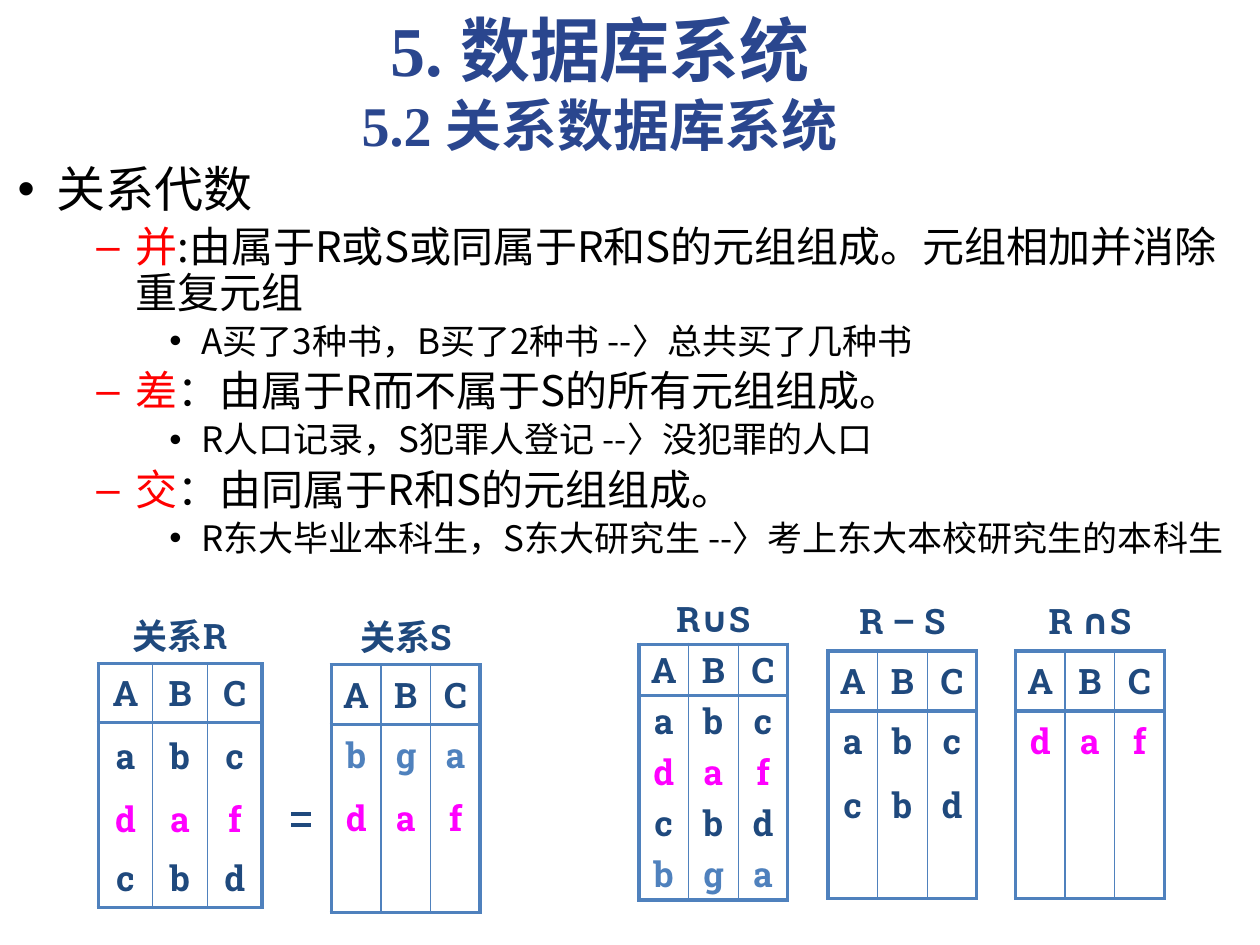
from lxml import etree
from pptx import Presentation
from pptx import util as u
from pptx.dml.color import RGBColor
from pptx.enum import shapes, text
from pptx.oxml.ns import qn

BLACK = RGBColor(0, 0, 0)
RED = RGBColor(0xFF, 0, 0)
TITLE_BLUE = RGBColor(0x2A, 0x46, 0x8E)
NAVY = RGBColor(0x1F, 0x49, 0x7D)
BLUE = RGBColor(0x4F, 0x81, 0xBD)
MAGENTA = RGBColor(0xFF, 0, 0xFF)

CJK_FONT = "Noto Sans CJK SC"
THICK, THIN = u.Pt(2.25), u.Pt(0.75)

# Each tuple of a relation is a string with one letter per attribute
R = ["abc", "daf", "cbd"]
S = ["bga", "daf"]
UNION = R + [row for row in S if row not in R]
DIFFERENCE = [row for row in R if row not in S]
INTERSECTION = [row for row in R if row in S]

# Level, highlighted term, remaining words
OUTLINE = [
    (0, "", "关系代数"),
    (1, "并", ":由属于R或S或同属于R和S的元组组成。元组相加并消除重复元组"),
    (2, "", "A买了3种书，B买了2种书 --〉总共买了几种书"),
    (1, "差", "：由属于R而不属于S的所有元组组成。"),
    (2, "", "R人口记录，S犯罪人登记 --〉没犯罪的人口"),
    (1, "交", "：由同属于R和S的元组组成。"),
    (2, "", "R东大毕业本科生，S东大研究生 --〉考上东大本校研究生的本科生"),
]
# Size in points, left margin and hanging indent in cm
LEVELS = [(28, 0.79, -0.79), (24, 2.38, -0.79), (20, 3.7, -0.64)]


def place(shape, left, top, width, height):
    shape.left, shape.top = u.Cm(left), u.Cm(top)
    shape.width, shape.height = u.Cm(width), u.Cm(height)


def set_font(font, name, color, size=None, bold=None):
    font.name, font.bold = name, bold
    font.color.rgb = color
    if size:
        font.size = u.Pt(size)


def add_heading(slide, box):
    heading = slide.shapes.title
    place(heading, *box)
    frame = heading.text_frame
    frame.vertical_anchor = text.MSO_ANCHOR.MIDDLE
    frame.auto_size = text.MSO_AUTO_SIZE.NONE
    lines = frame.paragraphs[0]
    lines.alignment = text.PP_ALIGN.CENTER
    set_font(lines.font, "Times New Roman", TITLE_BLUE, bold=True)
    chapter = lines.add_run()
    chapter.text, chapter.font.size = "5. 数据库系统", u.Pt(40)
    lines.add_line_break()
    section = lines.add_run()
    section.text, section.font.size = "5.2 关系数据库系统", u.Pt(32)


def add_outline(slide, box):
    outline = slide.placeholders[1]
    place(outline, *box)
    frame = outline.text_frame
    frame.auto_size = text.MSO_AUTO_SIZE.NONE
    for index, (level, term, words) in enumerate(OUTLINE):
        item = frame.add_paragraph() if index else frame.paragraphs[0]
        size, margin, indent = LEVELS[level]
        item.level, item.line_spacing = level, 0.9
        properties = item._p.get_or_add_pPr()
        properties.set("marL", str(u.Cm(margin)))
        properties.set("indent", str(u.Cm(indent)))
        set_font(item.font, CJK_FONT, BLACK, size)
        if term:
            keyword = item.add_run()
            keyword.text, keyword.font.color.rgb = term, RED
        item.add_run().text = words


def set_borders(cell, **widths):
    """Draw the sides lnL, lnR, lnT and lnB; a width of 0 hides the side."""
    properties = cell._tc.get_or_add_tcPr()
    for position, (side, width) in enumerate(widths.items()):
        line = etree.Element(qn(f"a:{side}"), w=str(width))
        properties.insert(position, line)
        if width:
            fill = etree.SubElement(line, qn("a:solidFill"))
            etree.SubElement(fill, qn("a:srgbClr"), val=str(BLUE))
        else:
            etree.SubElement(line, qn("a:noFill"))


def tuple_color(row):
    if row in INTERSECTION:
        return MAGENTA
    return BLUE if row in S else NAVY


def fill_cell(cell, words, color):
    cell.fill.background()
    cell.vertical_anchor = text.MSO_ANCHOR.MIDDLE
    cell.margin_left = cell.margin_right = u.Cm(0.05)
    cell.margin_top = cell.margin_bottom = u.Cm(0.03)
    entry = cell.text_frame.paragraphs[0]
    entry.alignment = text.PP_ALIGN.CENTER
    entry.space_before = u.Pt(4)
    set_font(entry.font, "Roboto Slab", color, 20, True)
    if words:
        entry.add_run().text = words


def add_relation(slide, left, top, width, heights, caption, tuples):
    count = len(heights)
    frame = slide.shapes.add_table(
        count, 3, u.Cm(left), u.Cm(top), u.Cm(width), u.Cm(sum(heights)))
    table = frame.table
    table.first_row = table.horz_banding = False
    for row, height in zip(table.rows, heights):
        row.height = u.Cm(height)

    # Caption over the grid
    caption_cell = table.cell(0, 0)
    caption_cell.merge(table.cell(0, 2))
    for column in range(3):
        fill_cell(table.cell(0, column), "" if column else caption, NAVY)
        set_borders(table.cell(0, column), lnL=0, lnR=0, lnT=0, lnB=THICK)

    # Attributes, then tuples, then empty rows
    grid = ["ABC"] + tuples
    grid += [("", "", "")] * (count - 1 - len(grid))
    for r, values in enumerate(grid, start=1):
        for c, value in enumerate(values):
            cell = table.cell(r, c)
            fill_cell(cell, value, tuple_color(values))
            set_borders(cell,
                        lnL=THIN if c else THICK,
                        lnR=THIN if c < 2 else THICK,
                        lnT=THICK if r <= 2 else 0,
                        lnB=THICK if r in (1, count - 1) else 0)


def add_equals_sign(slide, left, top, width, gap):
    for y in (top, top + gap):
        bar = slide.shapes.add_connector(
            shapes.MSO_CONNECTOR.STRAIGHT,
            u.Cm(left), u.Cm(y), u.Cm(left + width), u.Cm(y))
        bar.line.color.rgb, bar.line.width = NAVY, THICK
        etree.SubElement(bar._element.spPr, qn("a:effectLst"))


def main():
    deck = Presentation()
    deck.slide_width, deck.slide_height = u.Cm(25.4), u.Cm(19.05)
    slide = deck.slides.add_slide(deck.slide_layouts[1])

    add_heading(slide, (1.3, 0, 21.59, 3.33))
    add_outline(slide, (0.1, 3.2, 25.3, 8.51))

    # Operands, then the results of the three operations
    uneven = [1.21, 1.21, 1.2, 1.37, 1.21]
    add_relation(slide, 1.98, 12.19, 3.3, [1.19, 1.19, 1.34, 1.19, 1.19], "关系R", R)
    add_relation(slide, 6.68, 12.19, 3, uneven, "关系S", S)
    add_equals_sign(slide, 5.87, 16.41, 0.4, 0.23)
    add_relation(slide, 12.88, 11.96, 3, [1.03] * 6, "R∪S", UNION)
    add_relation(slide, 16.69, 11.91, 3, uneven, "R – S", DIFFERENCE)
    add_relation(slide, 20.47, 11.91, 3, uneven, "R ∩S", INTERSECTION)

    deck.save("out.pptx")


if __name__ == "__main__":
    main()
